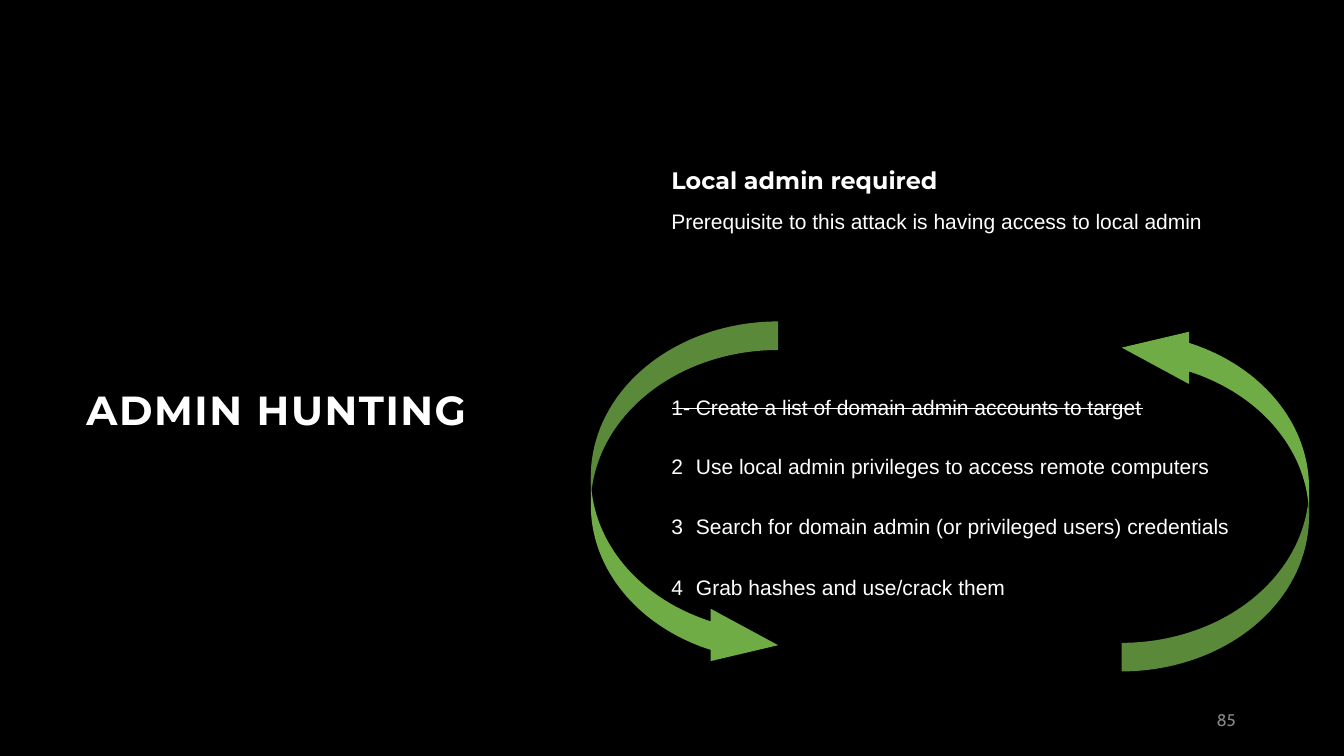
from math import acos, asin, cos, degrees, radians, sin

from lxml.etree import SubElement
from pptx import Presentation
from pptx.dml.color import RGBColor
from pptx.enum.shapes import MSO_CONNECTOR as Connector
from pptx.oxml.ns import qn
from pptx.util import Cm, Pt

COLORS = {"black": "000000", "white": "FFFFFF", "gray": "888888",
          "light green": "6FAC46", "dark green": "5A8A39"}
HEADING, BODY, FOOTER = "Montserrat", "Arial", "Cabin"

TEXT_LEFT = 16.92
STEP_INDENT = 0.62
STEPS = ["Use local admin privileges to access remote computers",
         "Search for domain admin (or privileged users) credentials",
         "Grab hashes and use/crack them"]

# Cycle geometry in cm; offsets are measured from the centre of the cycle.
CYCLE_X, CYCLE_Y = 23.94, 12.51
RADIUS_X, RADIUS_Y = 4.72, 3.91
ARC_X, OUTER_Y, INNER_Y = -4.33, -0.5, 0.22
HEAD_X = -6.03
HEAD = [(HEAD_X, 4.15), (ARC_X, 3.75), (HEAD_X, 2.83)]


def arc(center_y, start, end, steps=40):
    """Points on the left ellipse; 90 degrees is its top, 180 its left end."""
    angles = [radians(start + (end - start) * i / steps) for i in range(steps + 1)]
    return [(ARC_X + RADIUS_X * cos(a), center_y - RADIUS_Y * sin(a)) for a in angles]


class Deck:
    def __init__(self):
        self.presentation = Presentation()
        self.presentation.slide_width = Cm(33.87)
        self.presentation.slide_height = Cm(19.05)
        self.slide = self.presentation.slides.add_slide(self.presentation.slide_layouts[6])

    def color(self, name):
        return RGBColor.from_string(COLORS[name])

    def background(self, color):
        fill = self.slide.background.fill
        fill.solid()
        fill.fore_color.rgb = self.color(color)

    def text(self, left, top, width, height, lines, size, font=BODY, color="white",
             bold=False, tracking=0, first_number=None, gap=0, leading=None):
        box = self.slide.shapes.add_textbox(Cm(left), Cm(top), Cm(width), Cm(height))
        frame = box.text_frame
        frame.word_wrap = True
        frame.margin_left = frame.margin_right = 0
        frame.margin_top = frame.margin_bottom = 0
        for i, line in enumerate(lines):
            paragraph = frame.add_paragraph() if i else frame.paragraphs[0]
            run = paragraph.add_run()
            run.text = line
            if tracking:
                run._r.get_or_add_rPr().set("spc", str(round(tracking * 100)))
            if i:
                paragraph.space_before = Pt(gap)
            if leading:
                paragraph.line_spacing = Pt(leading)
            if first_number:
                self.number(paragraph, first_number)
            paragraph.font.size = Pt(size)
            paragraph.font.name = font
            paragraph.font.bold = bold
            paragraph.font.color.rgb = self.color(color)

    def number(self, paragraph, first):
        """Give the paragraph a hanging automatic number."""
        indent = str(Cm(STEP_INDENT))
        properties = paragraph._p.get_or_add_pPr()
        properties.set("marL", indent)
        properties.set("indent", "-" + indent)
        SubElement(properties, qn("a:buAutoNum"), type="arabicPlain", startAt=str(first))
        tabs = SubElement(properties, qn("a:tabLst"))
        SubElement(tabs, qn("a:tab"), pos=indent, algn="l")

    def line(self, left, right, y, color, weight):
        line = self.slide.shapes.add_connector(
            Connector.STRAIGHT, Cm(left), Cm(y), Cm(right), Cm(y))
        line.line.color.rgb = self.color(color)
        line.line.width = Pt(weight)
        SubElement(line._element.spPr, qn("a:effectLst"))

    def outline(self, offsets, side, color):
        """Draw offsets around the cycle centre; side -1 turns them by 180 degrees."""
        points = [(Cm(CYCLE_X + side * x), Cm(CYCLE_Y + side * y)) for x, y in offsets]
        builder = self.slide.shapes.build_freeform(*points[0])
        builder.add_line_segments(points[1:], close=True)
        shape = builder.convert_to_shape()
        shape.shadow.inherit = False
        shape.fill.solid()
        shape.fill.fore_color.rgb = self.color(color)
        shape.line.fill.background()

    def cycle_arrow(self, side):
        crossing = degrees(asin((INNER_Y - OUTER_Y) / 2 / RADIUS_Y))
        head_angle = 180 + degrees(acos((HEAD_X - ARC_X) / -RADIUS_X))
        front = arc(INNER_Y, 180, head_angle) + HEAD + arc(OUTER_Y, head_angle, 180)
        tail = arc(OUTER_Y, 90, 180 + crossing) + arc(INNER_Y, 180 - crossing, 90)
        self.outline(front, side, "light green")
        self.outline(tail, side, "dark green")


def main():
    deck = Deck()
    deck.background("black")
    deck.text(2.18, 9.69, 11, 1.3, ["ADMIN HUNTING"], 29, HEADING, bold=True, tracking=1.1)
    deck.text(TEXT_LEFT, 4.18, 8, 0.8, ["Local admin required"], 17, HEADING, bold=True)
    deck.text(TEXT_LEFT, 5.25, 14.5, 0.7,
              ["Prerequisite to this attack is having access to local admin"], 15)
    deck.line(16.93, 28.81, 10.3, "white", 1)
    deck.text(TEXT_LEFT, 9.94, 13, 0.7,
              ["1- Create a list of domain admin accounts to target"], 15)
    deck.text(TEXT_LEFT, 11.42, 14.7, 3.65, STEPS, 15, first_number=2, gap=25.4)
    for side in (1, -1):
        deck.cycle_arrow(side)
    deck.text(30.66, 17.96, 1.3, 0.5, ["85"], 12, FOOTER, "gray",
              tracking=-0.2, leading=12.4)
    deck.presentation.save("out.pptx")


if __name__ == "__main__":
    main()
